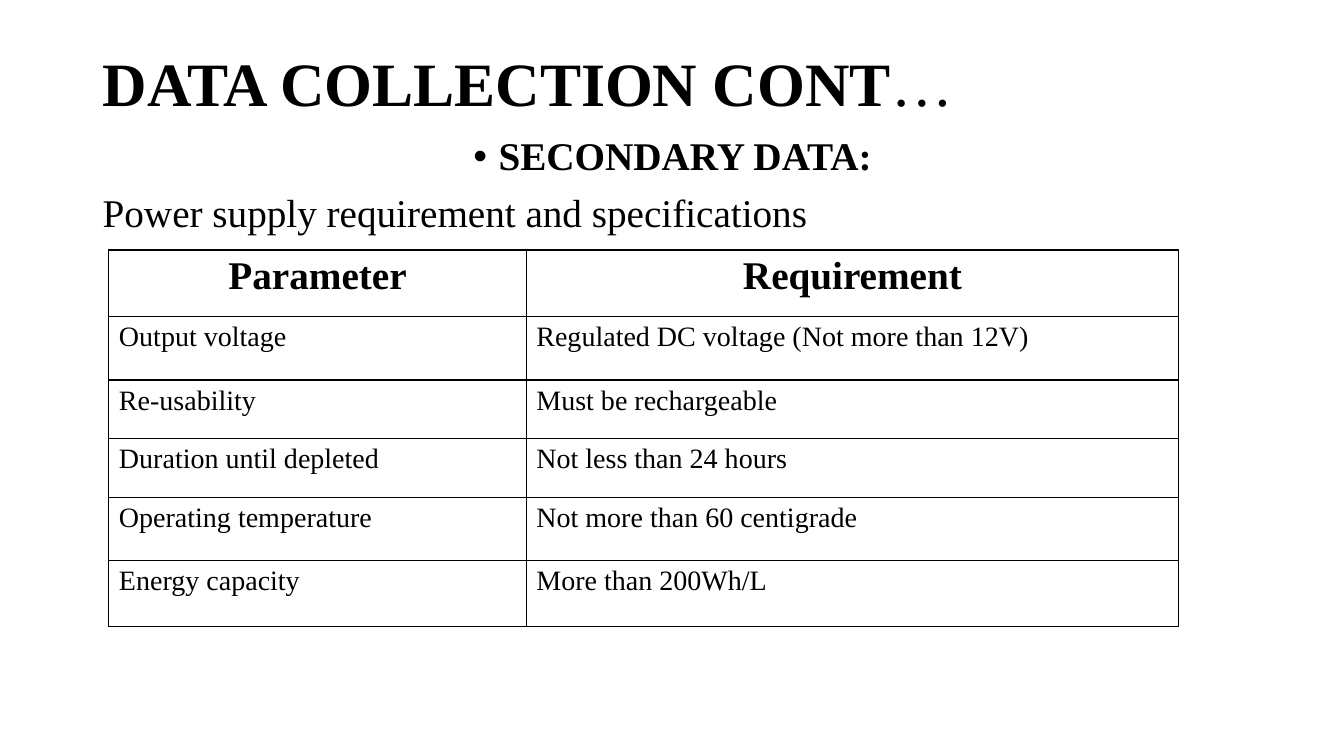
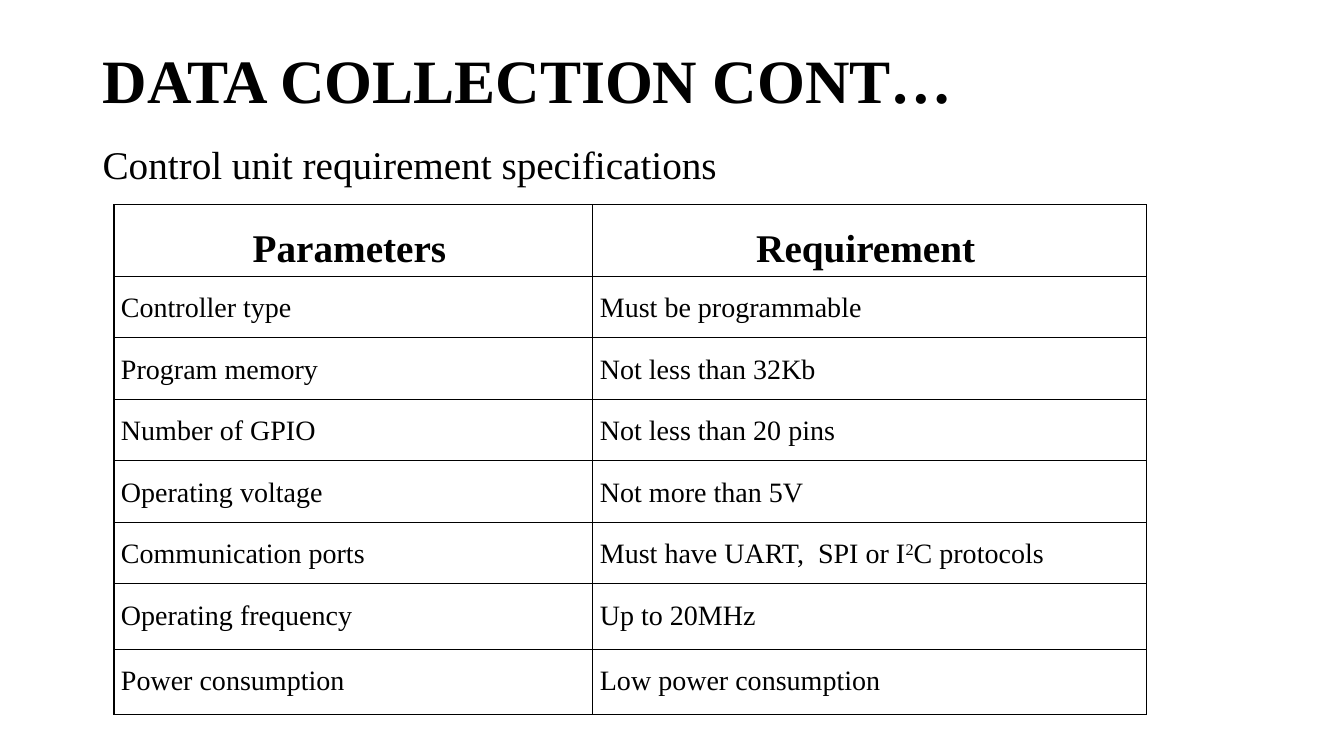
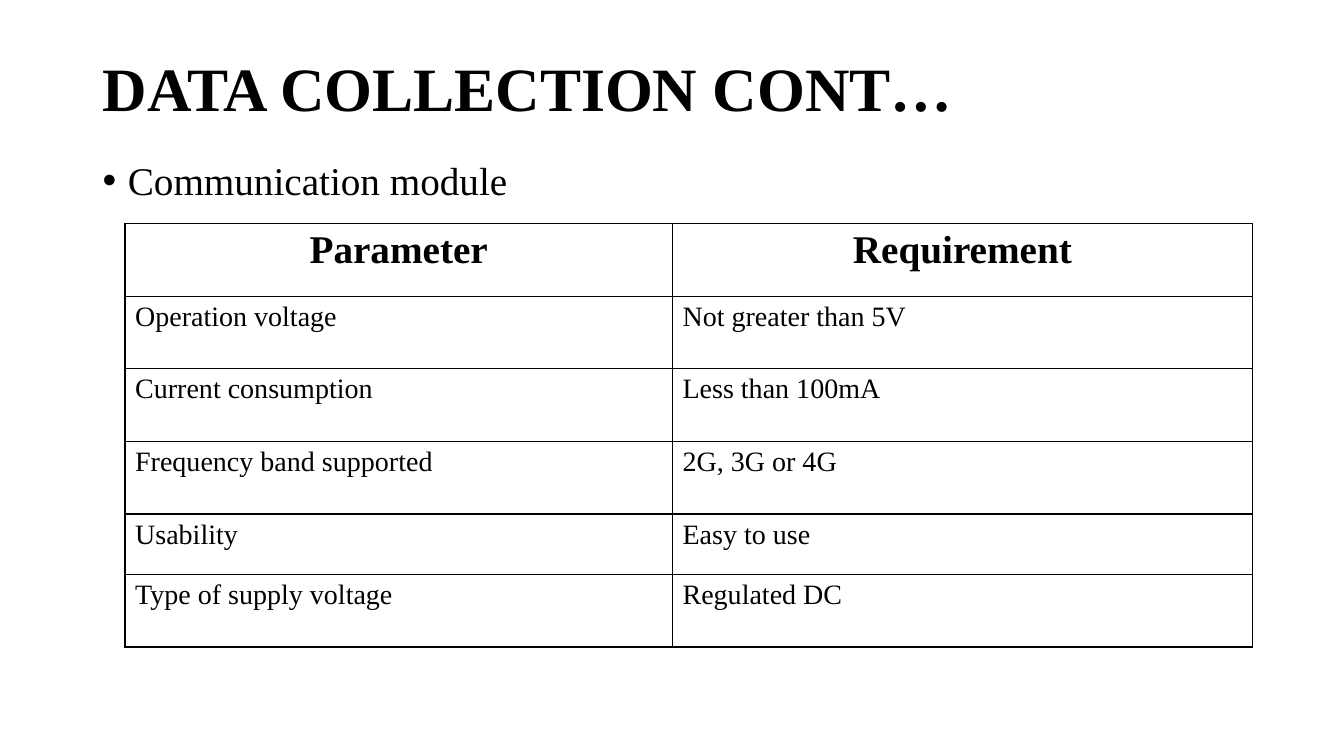
from dataclasses import dataclass

from lxml import etree
from pptx import Presentation
from pptx.dml.color import RGBColor
from pptx.enum.text import MSO_ANCHOR, PP_ALIGN
from pptx.oxml.ns import qn
from pptx.util import Inches, Pt

LEFT, CENTER, JUSTIFY = PP_ALIGN.LEFT, PP_ALIGN.CENTER, PP_ALIGN.JUSTIFY
MIDDLE, TOP = MSO_ANCHOR.MIDDLE, MSO_ANCHOR.TOP


@dataclass(frozen=True)
class Theme:
    """Colours, font and type sizes shared by all slides."""
    ink: RGBColor = RGBColor(0, 0, 0)
    paper: RGBColor = RGBColor(255, 255, 255)
    font: str = "Times New Roman"
    title: int = 44
    heading: int = 28
    cell: int = 20
    border: int = 1


theme = Theme()
TITLE = "DATA COLLECTION CONT"
TEXT_LEFT, TEXT_WIDTH, TITLE_TOP = 0.92, 11.5, 0.4
BULLET_INDENT = 0.25
DEFAULT_INSETS = (0.1, 0.05, 0.1, 0.05)

SLIDES = [
    {
        "title_height": 0.91, "ellipsis_bold": False,
        "body_top": 1.31, "body_height": 5.44,
        # text, bold, bulleted, alignment
        "body": [("SECONDARY DATA:", True, True, CENTER),
                 ("Power supply requirement and specifications", False, False, LEFT)],
        "origin": (1.08, 2.48), "cols": [4.14, 6.47],
        "heights": [0.66, 0.63, 0.58, 0.59, 0.62, 0.66],
        "insets": DEFAULT_INSETS, "spacing": 1.0,
        "rows": [("Parameter", "Requirement"),
                 ("Output voltage", "Regulated DC voltage (Not more than 12V)"),
                 ("Re-usability", "Must be rechargeable"),
                 ("Duration until depleted", "Not less than 24 hours"),
                 ("Operating temperature", "Not more than 60 centigrade"),
                 ("Energy capacity", "More than 200Wh/L")],
    },
    {
        "title_height": 0.85, "ellipsis_bold": True,
        "body_top": 1.4, "body_height": 5.7,
        "body": [("Control unit requirement specifications", False, False, LEFT)],
        "origin": (1.13, 2.03), "cols": [4.75, 5.49],
        "heights": [0.61] * 6 + [0.65] * 2,
        "insets": (0.07, 0.01, 0.05, 0), "spacing": 1.5,
        # text between carets is superscript
        "rows": [("Parameters ", "Requirement "),
                 ("Controller type", "Must be programmable"),
                 ("Program memory", "Not less than 32Kb"),
                 ("Number of GPIO", "Not less than 20 pins"),
                 ("Operating voltage", "Not more than 5V"),
                 ("Communication ports", "Must have UART,  SPI or I^2^C protocols"),
                 ("Operating frequency", "Up to 20MHz"),
                 ("Power consumption", "Low power consumption")],
    },
    {
        "title_height": 1.02, "ellipsis_bold": True,
        "body_top": 1.55, "body_height": 5.21,
        "body": [("Communication module", False, True, LEFT)],
        "origin": (1.24, 2.22), "cols": [5.43, 5.75],
        "heights": [0.72] * 4 + [0.6, 0.72],
        "insets": DEFAULT_INSETS, "spacing": 1.0,
        "rows": [("Parameter", "Requirement"),
                 ("Operation voltage", "Not greater than 5V"),
                 ("Current consumption", "Less than 100mA"),
                 ("Frequency band supported", "2G, 3G or 4G"),
                 ("Usability", "Easy to use"),
                 ("Type of supply voltage", "Regulated DC")],
    },
]


def add_run(p, text, size, bold=False):
    """Append a run in the shared font and return it."""
    r = p.add_run()
    r.text = text
    r.font.name = theme.font
    r.font.size = Pt(size)
    r.font.bold = bold
    r.font.color.rgb = theme.ink
    return r


def add_text_frame(s, top, height, anchor):
    """Add a wrapping text box in the shared column and return its frame."""
    sp = s.shapes.add_textbox(Inches(TEXT_LEFT), Inches(top),
                              Inches(TEXT_WIDTH), Inches(height))
    tf = sp.text_frame
    tf.word_wrap = True
    tf.vertical_anchor = anchor
    return tf


prs = Presentation()
prs.slide_width, prs.slide_height = Inches(13.33), Inches(7.5)
blank = prs.slide_layouts[6]
prs.slide_master.background.fill.solid()
prs.slide_master.background.fill.fore_color.rgb = theme.paper

for data in SLIDES:
    s = prs.slides.add_slide(blank)

    tf = add_text_frame(s, TITLE_TOP, data["title_height"], MIDDLE)
    p = tf.paragraphs[0]
    p.line_spacing = 0.9
    add_run(p, TITLE, theme.title, True)
    add_run(p, "…", theme.title, data["ellipsis_bold"])

    tf = add_text_frame(s, data["body_top"], data["body_height"], TOP)
    for i, (text, bold, bulleted, align) in enumerate(data["body"]):
        p = tf.add_paragraph() if i else tf.paragraphs[0]
        p.alignment = align
        p.line_spacing = 0.9
        p.space_before = Pt(10)
        add_run(p, text, theme.heading, bold)
        if bulleted:
            pPr = p._p.get_or_add_pPr()
            pPr.set("marL", str(Inches(BULLET_INDENT)))
            pPr.set("indent", str(-Inches(BULLET_INDENT)))
            etree.SubElement(pPr, qn("a:buFont")).set("typeface", "Arial")
            etree.SubElement(pPr, qn("a:buChar")).set("char", "•")

    rows, cols, heights = data["rows"], data["cols"], data["heights"]
    left, top = data["origin"]
    table = s.shapes.add_table(len(rows), len(cols), Inches(left), Inches(top),
                               Inches(sum(cols)), Inches(sum(heights))).table
    table.first_row = table.horz_banding = False
    for column, width in zip(table.columns, cols):
        column.width = Inches(width)
    for i, (row, height) in enumerate(zip(rows, heights)):
        table.rows[i].height = Inches(height)
        for j, text in enumerate(row):
            cell = table.cell(i, j)
            cell.fill.background()
            (cell.margin_left, cell.margin_top,
             cell.margin_right, cell.margin_bottom) = map(Inches, data["insets"])
            p = cell.text_frame.paragraphs[0]
            p.alignment = LEFT if i else CENTER
            p.line_spacing = data["spacing"]
            for k, part in enumerate(text.split("^")):
                r = add_run(p, part, theme.cell if i else theme.heading, i == 0)
                if k % 2:
                    r._r.get_or_add_rPr().set("baseline", "30000")
            tcPr = cell._tc.get_or_add_tcPr()
            for k, side in enumerate(("a:lnL", "a:lnR", "a:lnT", "a:lnB")):
                ln = etree.Element(qn(side), w=str(Pt(theme.border)))
                fill = etree.SubElement(ln, qn("a:solidFill"))
                etree.SubElement(fill, qn("a:srgbClr")).set("val", str(theme.ink))
                tcPr.insert(k, ln)
    if data["spacing"] > 1:
        table.cell(len(rows) - 1, 0).text_frame.paragraphs[0].alignment = JUSTIFY

prs.save("out.pptx")
